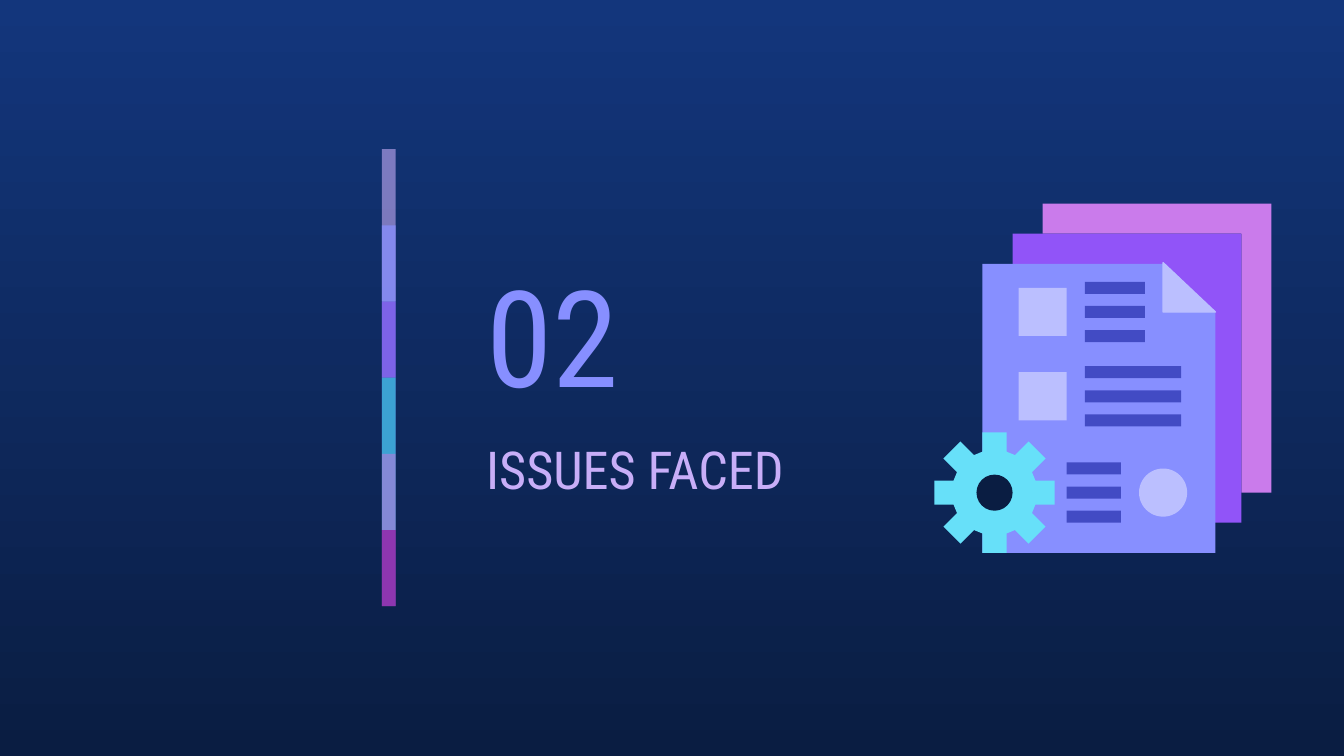
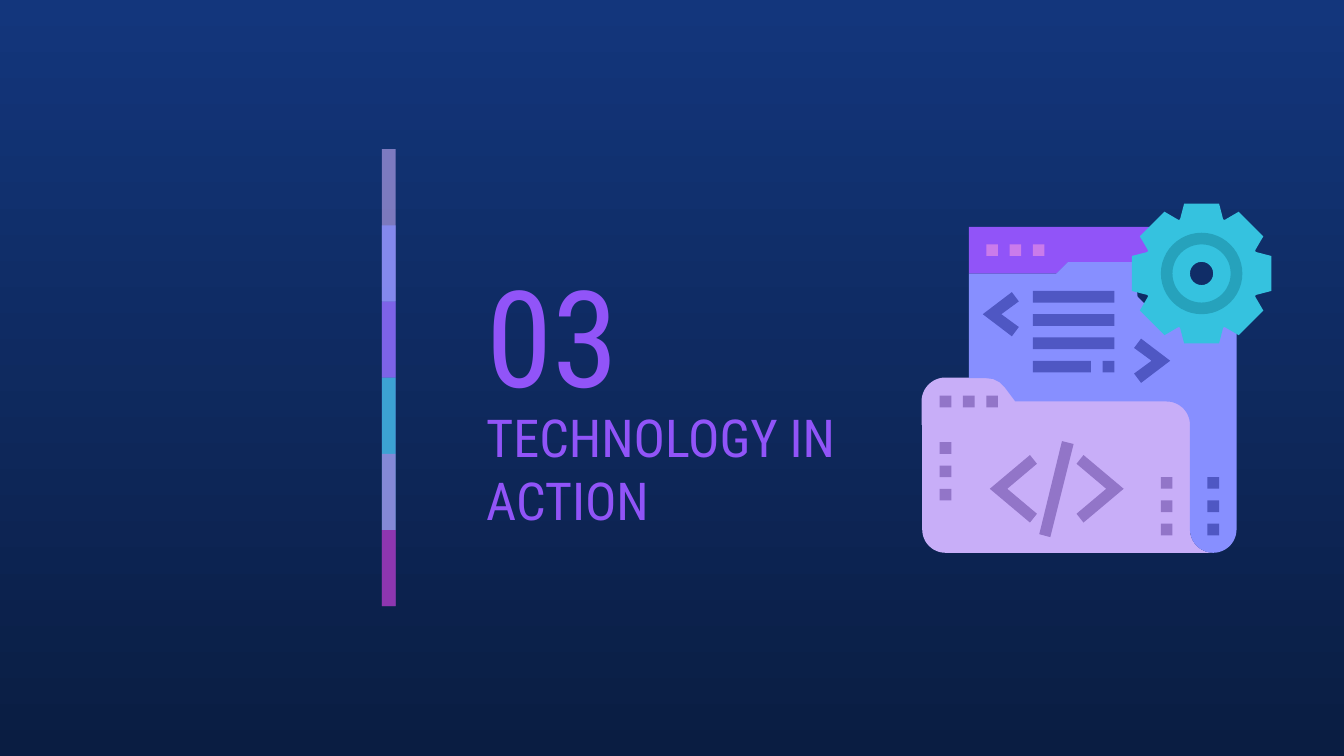
import math

import pptx
import pptx.dml.color
import pptx.enum.shapes
import pptx.enum.text
import pptx.oxml
import pptx.oxml.ns
import pptx.util

Cm = pptx.util.Cm
Pt = pptx.util.Pt

COLORS = {
    "sky": "13367C", "navy": "0A1D42", "periwinkle": "878FFF", "lilac": "C8AEF8",
    "violet": "9154F8", "pink": "CA7BEB", "magenta": "972CB4", "cyan": "67E0F9",
    "teal": "35C2DF", "deep_teal": "26A2BC", "pale": "BBBFFF", "indigo": "424BC4",
    "slate": "4F57C3", "plum": "9275C8",
}

SIDE_BAR = [("lilac", 59), ("periwinkle", 74), ("violet", 53),
            ("teal", 76), ("pink", 56), ("magenta", 74)]

# Icon geometry is in grid units. A five-number point is an arc:
# centre x, centre y, radius, start angle, end angle.
DOCUMENTS_ICON = [
    ("outline", "pink", [(9, 0), (9, 2.5), (25.5, 2.5), (25.5, 24), (28, 24), (28, 0)]),
    ("outline", "violet", [(6.5, 2.5), (6.5, 5), (19, 5), (23, 9), (23, 26.5),
                           (25.5, 26.5), (25.5, 2.5)]),
    ("outline", "periwinkle", [(4, 5), (4, 29), (23.35, 29), (23.35, 9.1), (19.2, 5)]),
    ("gear", "cyan", (5, 24, [(-1, -3.4), (-1, -5), (1, -5), (1, -3.4)], 0)),
    ("oval", "navy", (3.5, 22.5, 3, 3)),
    ("tiles", "pale", (7, 7, 4, 4, 2, 0, 7)),
    ("oval", "pale", (17, 22, 4, 4)),
    ("tiles", "indigo", (12.5, 6.5, 5, 1, 3, 0, 2)),
    ("tiles", "indigo", (12.5, 13.5, 8, 1, 3, 0, 2)),
    ("tiles", "indigo", (11, 21.5, 4.5, 1, 3, 0, 2)),
    ("edged", "pale", [(19, 4.9), (19, 9), (23.35, 9)]),
]

CODE_FOLDER_ICON = [
    ("outline", "lilac", [(0, 19), (2, 28, 2, 180, 90), (25, 28, 2, 90, 180), (23, 19)]),
    ("edged", "lilac", [(2, 17, 2, 270, 180), (0, 19), (23, 19), (21, 19, 2, 0, -90),
                        (8, 17), (7.1, 15.8), (6.65, 15.35), (6.1, 15.07), (5.5, 15)]),
    ("outline", "periwinkle", [(12.5, 5), (11.5, 6), (4, 6), (4, 15), (5.5, 15),
                               (6.1, 15.07), (6.65, 15.35), (7.1, 15.8), (8, 17),
                               (21, 19, 2, -90, 0), (25, 28, 2, 180, 0),
                               (27, 10.5), (21, 10.5), (18.5, 8), (18.2, 5)]),
    ("outline", "violet", [(4, 2), (4, 6), (11.5, 6), (12.5, 5), (18.2, 5),
                           (20, 4), (19.5, 2)]),
    ("donut", "teal", (21, 3, 6, 6, 1 / 3)),
    ("gear", "teal", (24, 6, [(-1.85, -4.65), (-1.5, -6), (1.5, -6), (1.85, -4.65)], 3)),
    ("donut", "deep_teal", (20.5, 2.5, 7, 7, 1 / 7)),
    ("tiles", "pink", (5.5, 3.5, 1, 1, 3, 2, 0)),
    ("tiles", "plum", (1.5, 16.5, 1, 1, 3, 2, 0)),
    ("chevron", "slate", (5.2, 9.5, 1, [(2.5, 1.9), (3.1, 1.1), (1.6, 0)])),
    ("chevron", "slate", (21.3, 13.5, -1, [(2.5, 1.9), (3.1, 1.1), (1.6, 0)])),
    ("tiles", "slate", (9.5, 7.5, 7, 1, 3, 0, 2)),
    ("tiles", "slate", (9.5, 13.5, 5, 1, 1, 0, 0)),
    ("tiles", "slate", (15.5, 13.5, 1, 1, 1, 0, 0)),
    ("chevron", "plum", (17.3, 24.5, -1, [(3.45, 2.9), (4.05, 2.15), (1.5, 0)])),
    ("chevron", "plum", (5.8, 24.5, 1, [(3.45, 2.9), (4.05, 2.15), (1.5, 0)])),
    ("outline", "plum", [(12, 20.4), (10.05, 28.4), (11, 28.65), (13, 20.65)]),
    ("tiles", "plum", (1.5, 20.5, 1, 1, 3, 0, 2)),
    ("tiles", "plum", (20.5, 23.5, 1, 1, 3, 0, 2)),
    ("tiles", "slate", (24.5, 23.5, 1, 1, 3, 0, 2)),
]

SECTIONS = [
    {"number": ("02", "periwinkle"), "title": ("ISSUES FACED", "lilac"),
     "icon": DOCUMENTS_ICON, "columns": 28, "rows": 29},
    {"number": ("03", "violet"), "title": ("TECHNOLOGY IN ACTION", "violet"),
     "icon": CODE_FOLDER_ICON, "columns": 30, "rows": 30},
]

TEXT_BOXES = {
    "number": {"place": (8.94, 4.6, 4.44, 3.42), "size": 72},
    "title": {"place": (8.94, 8, 7.29, 1.7), "size": 28},
}
FRAME_FORMAT = {
    "word_wrap": True, "vertical_anchor": pptx.enum.text.MSO_ANCHOR.MIDDLE,
    "margin_left": Cm(0.25), "margin_right": Cm(0.25),
    "margin_top": Cm(0.25), "margin_bottom": Cm(0.25),
}
ICON_RIGHT, ICON_TOP, ICON_HEIGHT = 24.03, 3.85, 6.6
BAR_LEFT, BAR_TOP, BAR_WIDTH, BAR_STEP = 7.22, 2.82, 0.26, 1.44
PRESETS = pptx.enum.shapes.MSO_SHAPE


def rgb(name):
    return pptx.dml.color.RGBColor.from_string(COLORS[name])


def apply_format(target, values):
    for name, value in values.items():
        setattr(target, name, value)


def paint(shape, color, edged=False):
    shape.shadow.inherit = False
    shape.fill.solid()
    shape.fill.fore_color.rgb = rgb(color)
    if edged:
        shape.line.color.rgb = rgb(color)
        shape.line.width = Pt(0.75)
    else:
        shape.line.fill.background()
    return shape


def add_preset(shapes, preset, color, place):
    return paint(shapes.add_shape(preset, *map(Cm, place)), color)


def set_opacity(shape, percent):
    color_element = shape.fill._xPr.find(".//" + pptx.oxml.ns.qn("a:srgbClr"))
    alpha = pptx.oxml.parse_xml(
        f'<a:alpha {pptx.oxml.ns.nsdecls("a")} val="{percent * 1000}"/>')
    color_element.append(alpha)


def expand(points):
    for point in points:
        if len(point) == 2:
            yield point
            continue
        x, y, radius, start, end = point
        steps = abs(end - start) // 6
        for step in range(steps + 1):
            angle = math.radians(start + (end - start) * step / steps)
            yield x + radius * math.cos(angle), y + radius * math.sin(angle)


def gear_points(x, y, tooth):
    for turn in range(8):
        cosine, sine = math.cos(turn * math.pi / 4), math.sin(turn * math.pi / 4)
        for across, out in tooth:
            yield x + across * cosine - out * sine, y + across * sine + out * cosine


def chevron_points(x, y, direction, arm):
    upper = [(x + direction * dx, y - dy) for dx, dy in arm]
    lower = [(x + direction * dx, y + dy) for dx, dy in arm[-2::-1]]
    return [(x, y)] + upper + lower


def add_icon(slide, section):
    unit = ICON_HEIGHT / section["rows"]
    left = ICON_RIGHT - section["columns"] * unit
    shapes = slide.shapes.add_group_shape().shapes

    def place(x, y, width, height):
        return left + x * unit, ICON_TOP + y * unit, width * unit, height * unit

    def add_outline(color, *contours, edged=False):
        builder = None
        for contour in contours:
            points = [(Cm(left + x * unit), Cm(ICON_TOP + y * unit))
                      for x, y in expand(contour)]
            if builder is None:
                builder = shapes.build_freeform(*points[0])
            else:
                builder.move_to(*points[0])
            builder.add_line_segments(points[1:], close=True)
        paint(builder.convert_to_shape(), color, edged)

    for kind, color, geometry in section["icon"]:
        if kind in ("outline", "edged"):
            add_outline(color, geometry, edged=kind == "edged")
        elif kind == "chevron":
            add_outline(color, chevron_points(*geometry))
        elif kind == "gear":
            x, y, tooth, hole = geometry
            holes = [[(x, y, hole, 360, 0)]] if hole else []
            add_outline(color, gear_points(x, y, tooth), *holes)
        elif kind == "tiles":
            x, y, width, height, count, dx, dy = geometry
            for index in range(count):
                add_preset(shapes, PRESETS.RECTANGLE, color,
                           place(x + index * dx, y + index * dy, width, height))
        elif kind == "oval":
            add_preset(shapes, PRESETS.OVAL, color, place(*geometry))
        else:
            ring = add_preset(shapes, PRESETS.DONUT, color, place(*geometry[:4]))
            ring.adjustments[0] = geometry[4]


def add_side_bar(slide):
    shapes = slide.shapes.add_group_shape().shapes
    for index, (color, opacity) in enumerate(SIDE_BAR):
        height = BAR_STEP * min(2, len(SIDE_BAR) - index)
        segment = add_preset(shapes, PRESETS.RECTANGLE, color,
                             (BAR_LEFT, BAR_TOP + index * BAR_STEP, BAR_WIDTH, height))
        set_opacity(segment, opacity)


def add_text(slide, role, text, color):
    style = TEXT_BOXES[role]
    frame = slide.shapes.add_textbox(*map(Cm, style["place"])).text_frame
    apply_format(frame, FRAME_FORMAT)
    paragraph = frame.paragraphs[0]
    run = paragraph.add_run()
    run.text = text
    apply_format(run.font, {"name": "Roboto Condensed", "size": Pt(style["size"])})
    run.font.color.rgb = rgb(color)


def set_background(master):
    fill = master.background.fill
    fill.gradient()
    fill.gradient_angle = 270
    for stop, color in zip(fill.gradient_stops, ("sky", "navy")):
        stop.color.rgb = rgb(color)


def main():
    presentation = pptx.Presentation()
    apply_format(presentation, {"slide_width": Cm(25.4), "slide_height": Cm(14.29)})
    set_background(presentation.slide_master)
    for section in SECTIONS:
        slide = presentation.slides.add_slide(presentation.slide_layouts[6])
        add_side_bar(slide)
        for role in TEXT_BOXES:
            add_text(slide, role, *section[role])
        add_icon(slide, section)
    presentation.save("out.pptx")


if __name__ == "__main__":
    main()
